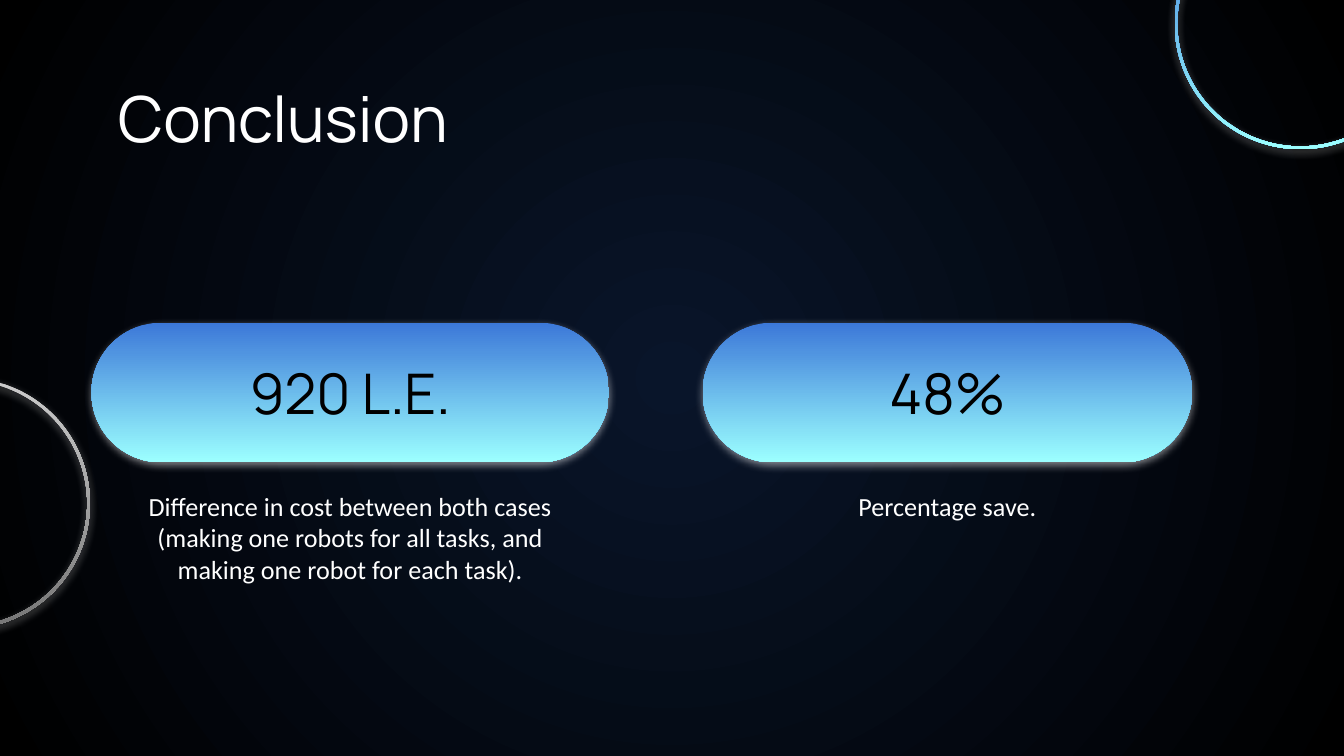
from dataclasses import dataclass

import lxml.etree
import pptx
import pptx.dml.color
import pptx.enum.shapes
import pptx.enum.text
import pptx.oxml.ns
import pptx.util

Cm = pptx.util.Cm
Pt = pptx.util.Pt
SHAPE = pptx.enum.shapes.MSO_SHAPE
ANCHOR = pptx.enum.text.MSO_ANCHOR
ALIGN = pptx.enum.text.PP_ALIGN
qn = pptx.oxml.ns.qn


@dataclass(frozen=True)
class Theme:
    backdrop: tuple = ("09152A", "000000")
    accent: tuple = ("3C78D8", "9CFFFF")
    neutral: tuple = ("CCCCCC", "767676")
    light: str = "FFFFFF"
    dark: str = "000000"
    heading_font: str = "Manrope"
    body_font: str = "Calibri"
    title_size: int = 34
    figure_size: int = 30
    caption_size: int = 14


THEME = Theme()


def fill_gradient(fill, colors):
    fill.gradient()
    for stop, color, position in zip(fill.gradient_stops, colors, (0, 1)):
        stop.color.rgb = pptx.dml.color.RGBColor.from_string(color)
        stop.position = position
    fill.gradient_angle = 270


def set_background(slide):
    fill_gradient(slide.background.fill, THEME.backdrop)
    grad = slide.element.find(".//" + qn("a:gradFill"))
    grad.remove(grad.find(qn("a:lin")))
    radial = lxml.etree.SubElement(grad, qn("a:path"), path="circle")
    lxml.etree.SubElement(radial, qn("a:fillToRect"),
                          l="50000", t="50000", r="50000", b="50000")


def add_glow(sp):
    sp.shadow.inherit = False
    effects = sp.element.spPr.find(qn("a:effectLst"))
    shadow = lxml.etree.SubElement(
        effects, qn("a:outerShdw"), blurRad=str(Pt(4.5)), dist=str(Pt(1.5)),
        dir="5400000", algn="bl", rotWithShape="0")
    color = lxml.etree.SubElement(shadow, qn("a:srgbClr"), val=THEME.light)
    lxml.etree.SubElement(color, qn("a:alpha"), val="50000")


def add_glowing_shape(slide, kind, box, adjustment, colors):
    sp = slide.shapes.add_shape(kind, *map(Cm, box))
    sp.adjustments[0] = adjustment
    fill_gradient(sp.fill, colors)
    sp.line.fill.background()
    add_glow(sp)
    return sp


def write_text(sp, lines, font, size, color, align, anchor):
    tf = sp.text_frame
    tf.word_wrap = True
    tf.auto_size = pptx.enum.text.MSO_AUTO_SIZE.NONE
    tf.vertical_anchor = anchor
    tf.margin_left = tf.margin_right = tf.margin_top = tf.margin_bottom = Cm(0.25)
    tf.text = "\n".join(lines)
    for p in tf.paragraphs:
        p.alignment = align
        p.font.name = font
        p.font.size = Pt(size)
        p.font.color.rgb = pptx.dml.color.RGBColor.from_string(color)


def add_title(slide, text):
    sp = slide.shapes.title
    sp.left, sp.top, sp.width, sp.height = map(Cm, (1.98, 1.24, 21.44, 1.6))
    write_text(sp, [text], THEME.heading_font, THEME.title_size, THEME.light,
               ALIGN.LEFT, ANCHOR.TOP)


def add_ring(slide, left, top, colors):
    add_glowing_shape(slide, SHAPE.DONUT, (left, top, 4.75, 4.75), 0.011, colors)


def add_result(slide, left, width, figure, caption_width, caption):
    pill = add_glowing_shape(slide, SHAPE.ROUNDED_RECTANGLE,
                             (left, 6.1, width, 2.64), 0.5, THEME.accent)
    write_text(pill, [figure], THEME.heading_font, THEME.figure_size, THEME.dark,
               ALIGN.CENTER, ANCHOR.MIDDLE)
    caption_left = left + (width - caption_width) / 2
    box = slide.shapes.add_textbox(*map(Cm, (caption_left, 9.02, caption_width, 0.86)))
    write_text(box, caption, THEME.body_font, THEME.caption_size, THEME.light,
               ALIGN.CENTER, ANCHOR.TOP)


def main():
    prs = pptx.Presentation()
    prs.slide_width, prs.slide_height = Cm(25.4), Cm(14.29)
    slide = prs.slides.add_slide(prs.slide_layouts[5])
    set_background(slide)
    add_ring(slide, 22.2, -1.93, THEME.accent)
    add_ring(slide, -3.05, 7.14, THEME.neutral)
    add_title(slide, "Conclusion")
    add_result(slide, 1.73, 9.78, "920 L.E.", 9.12, [
        "Difference in cost between both cases",
        "(making one robots for all tasks, and making one robot for each task).",
    ])
    add_result(slide, 13.28, 9.25, "48%", 7.65, ["Percentage save."])
    prs.save("out.pptx")


if __name__ == "__main__":
    main()
